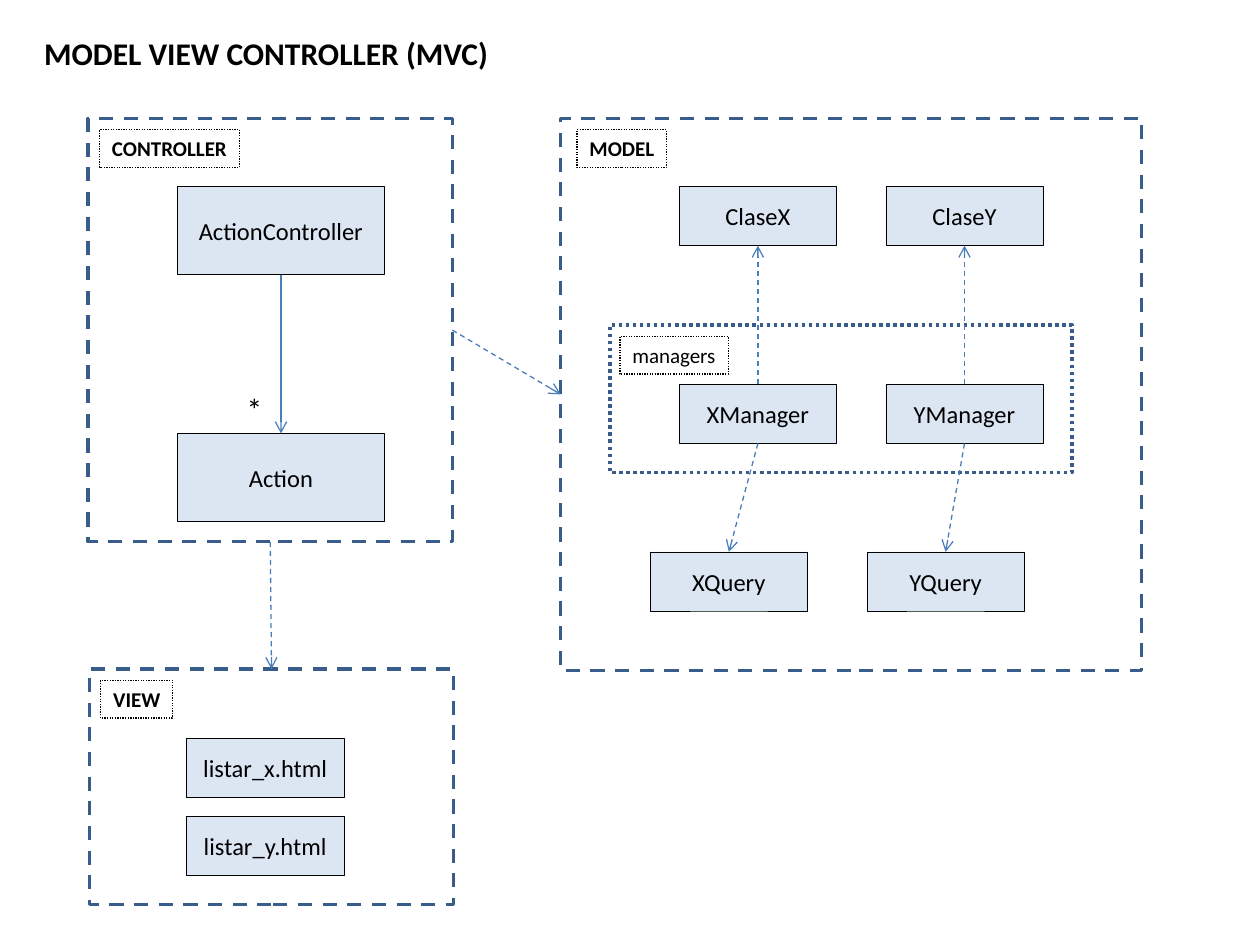
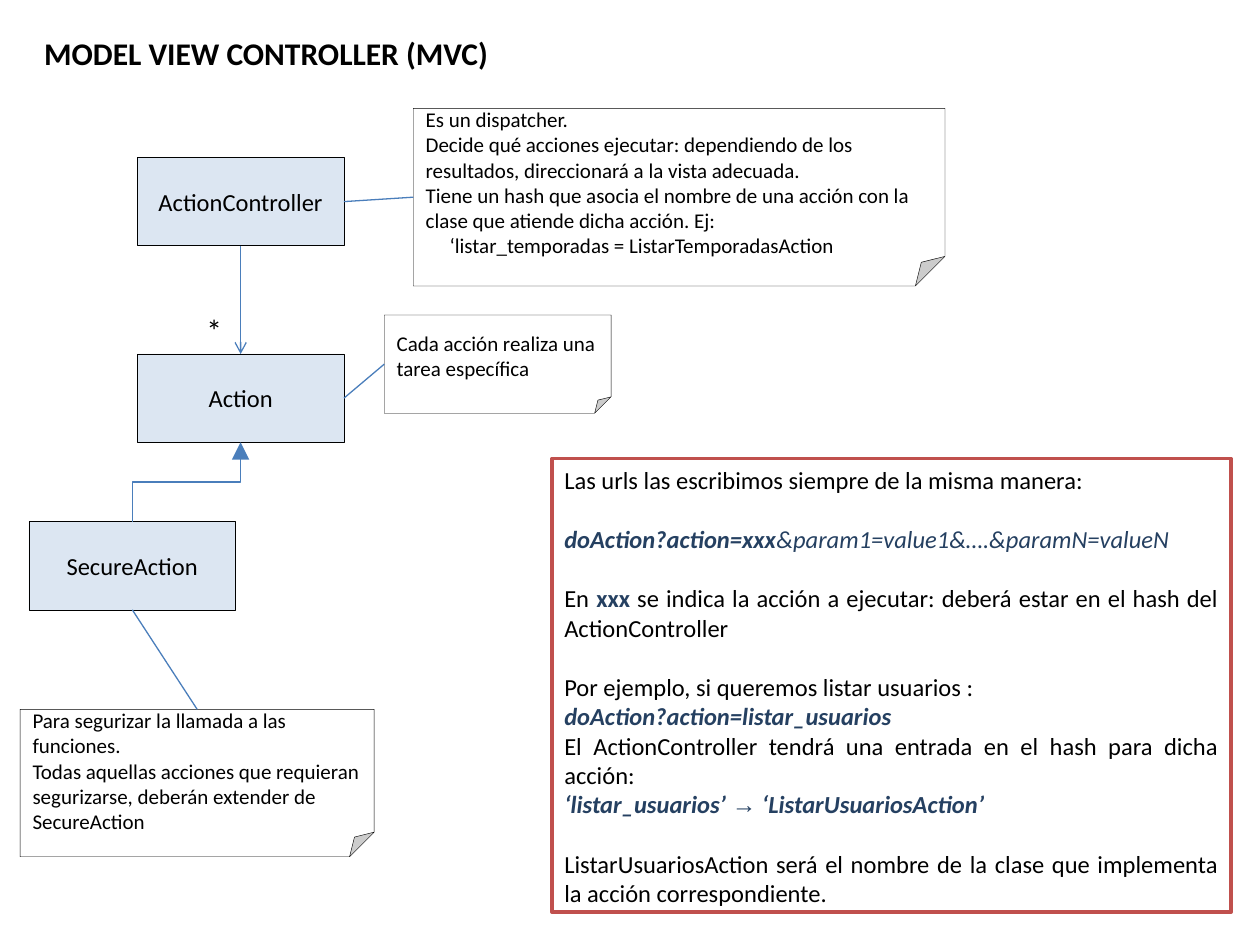
from dataclasses import dataclass

from lxml import etree
from pptx import Presentation
from pptx import util as u
from pptx.dml.color import RGBColor
from pptx.enum import dml, shapes, text
from pptx.oxml.ns import qn

PX = 9144  # 100 px to the inch
RECT = shapes.MSO_SHAPE.RECTANGLE
NOTE = shapes.MSO_SHAPE.FOLDED_CORNER
DASH, DOT = dml.MSO_LINE.DASH, dml.MSO_LINE.ROUND_DOT
LEFT, CENTER, JUSTIFY = text.PP_ALIGN.LEFT, text.PP_ALIGN.CENTER, text.PP_ALIGN.JUSTIFY
TOP, MIDDLE = text.MSO_ANCHOR.TOP, text.MSO_ANCHOR.MIDDLE
ABOVE, BEFORE, BELOW, AFTER = range(4)  # connection sites


@dataclass(frozen=True)
class Theme:
    font: str = "Calibri"
    symbol_font: str = "Arial"
    ink: str = "000000"
    code: str = "254061"
    paper: str = "FFFFFF"
    box: str = "DCE6F2"
    frame: str = "385D8A"
    arrow: str = "4A7EBB"
    alert: str = "C0504D"
    title: int = 18
    body: int = 14
    small: int = 12
    hair: float = 0.25
    thin: float = 0.75
    thick: float = 2
    blank: int = 17


T = Theme()
BIG, SMALL = (164, 70), (125, 47)
TITLE = "MODEL VIEW CONTROLLER (MVC)"


def px(*lengths):
    return [u.Emu(n * PX) for n in lengths]


def rgb(code):
    return RGBColor.from_string(code)


def set_font(font, size=None, color=T.ink, bold=False, italic=False, name=T.font):
    font.name, font.bold, font.italic = name, bold, italic
    font.color.rgb = rgb(color)
    if size:
        font.size = u.Pt(size)


def set_line(line, color, width, dash=None):
    line.color.rgb = rgb(color)
    line.width = u.Pt(width)
    if dash:
        line.dash_style = dash


def write(tf, lines, size, align=LEFT, anchor=TOP, bold=False):
    tf.vertical_anchor = anchor
    for i, words in enumerate(lines):
        p = tf.paragraphs[0] if i == 0 else tf.add_paragraph()
        p.text = words
        p.alignment = align
        set_font(p.font, size, bold=bold)


def hug(tf):
    tf.word_wrap = False
    tf.auto_size = text.MSO_AUTO_SIZE.SHAPE_TO_FIT_TEXT


def add_box(s, x, y, w, h, line, width, dash=None, fill=None, kind=RECT):
    sp = s.shapes.add_shape(kind, *px(x, y, w, h))
    sp.shadow.inherit = False
    if fill:
        sp.fill.solid()
        sp.fill.fore_color.rgb = rgb(fill)
    else:
        sp.fill.background()
    set_line(sp.line, line, width, dash)
    return sp


def class_box(s, x, y, name, size=SMALL):
    sp = add_box(s, x, y, *size, T.ink, T.hair, fill=T.box)
    write(sp.text_frame, [name], T.body, CENTER, MIDDLE)
    return sp


def note(s, x, y, w, h, lines):
    sp = add_box(s, x, y, w, h, T.ink, T.hair, fill=T.paper, kind=NOTE)
    write(sp.text_frame, lines, T.small, LEFT, MIDDLE)
    return sp


def frame(s, x, y, w, h, label, label_w, dx=9, dash=DASH, bold=True):
    """Outlined region with its dotted label in the top left corner."""
    sp = add_box(s, x, y, w, h, T.frame, T.thick, dash)
    tag = add_box(s, x + dx, y + 9, label_w, 30, T.ink, T.thin, DOT)
    tag.text_frame.margin_right = 0  # leaves the one-line label room to spare
    write(tag.text_frame, [label], T.small, bold=bold)
    return sp


def link(s, start, start_site, end, end_site, head="arrow", dash=None,
         kind=shapes.MSO_CONNECTOR.STRAIGHT, head_size="med"):
    c = s.shapes.add_connector(kind, 0, 0, 0, 0)
    c.begin_connect(start, start_site)
    c.end_connect(end, end_site)
    set_line(c.line, T.arrow, T.thin, dash)
    spPr = c._element.spPr
    if head:
        etree.SubElement(spPr.find(qn("a:ln")), qn("a:tailEnd"),
                         type=head, w=head_size, len=head_size)
    etree.SubElement(spPr, qn("a:effectLst"))
    return c


def inherit_link(s, child, parent):
    """Elbow that leaves the child upwards and enters the parent from below."""
    c = link(s, child, ABOVE, parent, BELOW, "triangle",
             kind=shapes.MSO_CONNECTOR.ELBOW, head_size="lg")
    x, y, w, h = c.left, c.top, c.width, c.height
    c.left, c.top = u.Emu(x + (w - h) // 2), u.Emu(y + (h - w) // 2)
    c.width, c.height = h, w
    xfrm = c._element.spPr.find(qn("a:xfrm"))
    xfrm.attrib.pop("flipV", None)
    xfrm.set("rot", str(270 * 60000))


def add_slide(prs):
    s = prs.slides.add_slide(prs.slide_layouts[5])
    sp = s.shapes.title
    sp.left, sp.top, sp.width, sp.height = px(25, 22, 373, 40)
    write(sp.text_frame, [TITLE], T.title, bold=True)
    hug(sp.text_frame)
    return s


def action_pair(s, x, y, step):
    """ActionController above its many Actions, their tops one step apart."""
    controller = class_box(s, x, y, "ActionController", BIG)
    action = class_box(s, x, y + step, "Action", BIG)
    link(s, controller, BELOW, action, ABOVE)
    star = s.shapes.add_textbox(*px(x + 45, y + step - 39, 32, 40))
    write(star.text_frame, ["*"], T.title)
    hug(star.text_frame)
    return controller, action


def controller_region(s, x, y, w, h):
    region = frame(s, x, y, w, h, "CONTROLLER", 111)
    action_pair(s, x + 71, y + 54, 196)
    return region


def view_region(s, x, y, w, h):
    region = frame(s, x, y, w, h, "VIEW", 57)
    for i, page in enumerate(["listar_x.html", "listar_y.html"]):
        class_box(s, x + 77, y + 55 + 62 * i, page)
    return region


def model_region(s, x, y, w, h):
    region = frame(s, x, y, w, h, "MODEL", 71, dx=13)
    frame(s, x + 39, y + 164, 367, 117, "managers", 86, dx=8, dash=DOT, bold=False)
    for letter, dx, query_dx in [("X", 94, 71), ("Y", 258, 243)]:
        entity = class_box(s, x + dx, y + 54, f"Clase{letter}")
        manager = class_box(s, x + dx, y + 211, f"{letter}Manager")
        query = class_box(s, x + query_dx, y + 344, f"{letter}Query")
        link(s, manager, ABOVE, entity, BELOW, dash=DASH)
        link(s, manager, BELOW, query, ABOVE, dash=DASH)
    return region


def url_panel(s, x, y, w, h):
    plain = {}
    key = dict(color=T.code, bold=True)
    code = dict(key, italic=True)
    # gap before the paragraph, then its runs
    paragraphs = [
        (0, [("Las urls las escribimos siempre de la misma manera:", plain)]),
        (T.blank, [("doAction?action=xxx", code),
                   ("&param1=value1&….&paramN=valueN", dict(code, bold=False))]),
        (T.blank, [("En ", plain), ("xxx", key),
                   (" se indica la acción a ejecutar: deberá estar en el hash del "
                    "ActionController", plain)]),
        (T.blank, [("Por ejemplo, si queremos listar usuarios :", plain)]),
        (0, [("doAction?action=listar_usuarios", code)]),
        (0, [("El ActionController tendrá una entrada en el hash para dicha acción:",
              plain)]),
        (0, [("‘listar_usuarios’ ", code), ("→", dict(code, name=T.symbol_font)),
             (" ‘ListarUsuariosAction’", code)]),
        (T.blank, [("ListarUsuariosAction será el nombre de la clase que implementa "
                    "la acción correspondiente.", plain)]),
    ]
    sp = add_box(s, x, y, w, h, T.alert, T.thick, fill=T.paper)
    tf = sp.text_frame
    tf.vertical_anchor = TOP
    for i, (gap, runs) in enumerate(paragraphs):
        p = tf.add_paragraph() if i else tf.paragraphs[0]
        p.alignment = JUSTIFY
        if gap:
            p.space_before = u.Pt(gap)
        set_font(p.font, T.body, **runs[0][1])
        for words, style in runs:
            r = p.add_run()
            r.text = words
            if len(runs) > 1:
                set_font(r.font, **style)


def overview_slide(prs):
    s = add_slide(prs)
    controller = controller_region(s, 70, 94, 289, 336)
    view = view_region(s, 71, 531, 289, 187)
    model = model_region(s, 445, 94, 461, 438)
    link(s, controller, AFTER, model, BEFORE, dash=DASH)
    link(s, controller, BELOW, view, ABOVE, dash=DASH)


def controller_slide(prs):
    s = add_slide(prs)
    controller, action = action_pair(s, 109, 125, 156)
    secure = class_box(s, 23, 414, "SecureAction", BIG)
    inherit_link(s, secure, action)

    dispatcher = note(s, 328, 86, 422, 141, [
        "Es un dispatcher.",
        "Decide qué acciones ejecutar: dependiendo de los resultados, "
        "direccionará a la vista adecuada.",
        "Tiene un hash que asocia el nombre de una acción con la clase que "
        "atiende dicha acción. Ej:",
        "‘listar_temporadas = ListarTemporadasAction"])
    example = dispatcher.text_frame.paragraphs[-1]
    example._p.get_or_add_pPr().set("marL", str(19 * PX))
    task = note(s, 305, 250, 180, 78, ["Cada acción realiza una tarea específica"])
    security = note(s, 16, 563, 281, 117, [
        "Para segurizar la llamada a las funciones.",
        "Todas aquellas acciones que requieran segurizarse, deberán extender "
        "de SecureAction"])

    link(s, dispatcher, BEFORE, controller, AFTER, head=None)
    link(s, task, BEFORE, action, AFTER, head=None)
    link(s, security, ABOVE, secure, BELOW, head=None)
    url_panel(s, 438, 364, 539, 360)


def main():
    prs = Presentation()
    prs.slide_width, prs.slide_height = px(1000, 750)
    overview_slide(prs)
    controller_slide(prs)
    prs.save("out.pptx")


if __name__ == "__main__":
    main()
